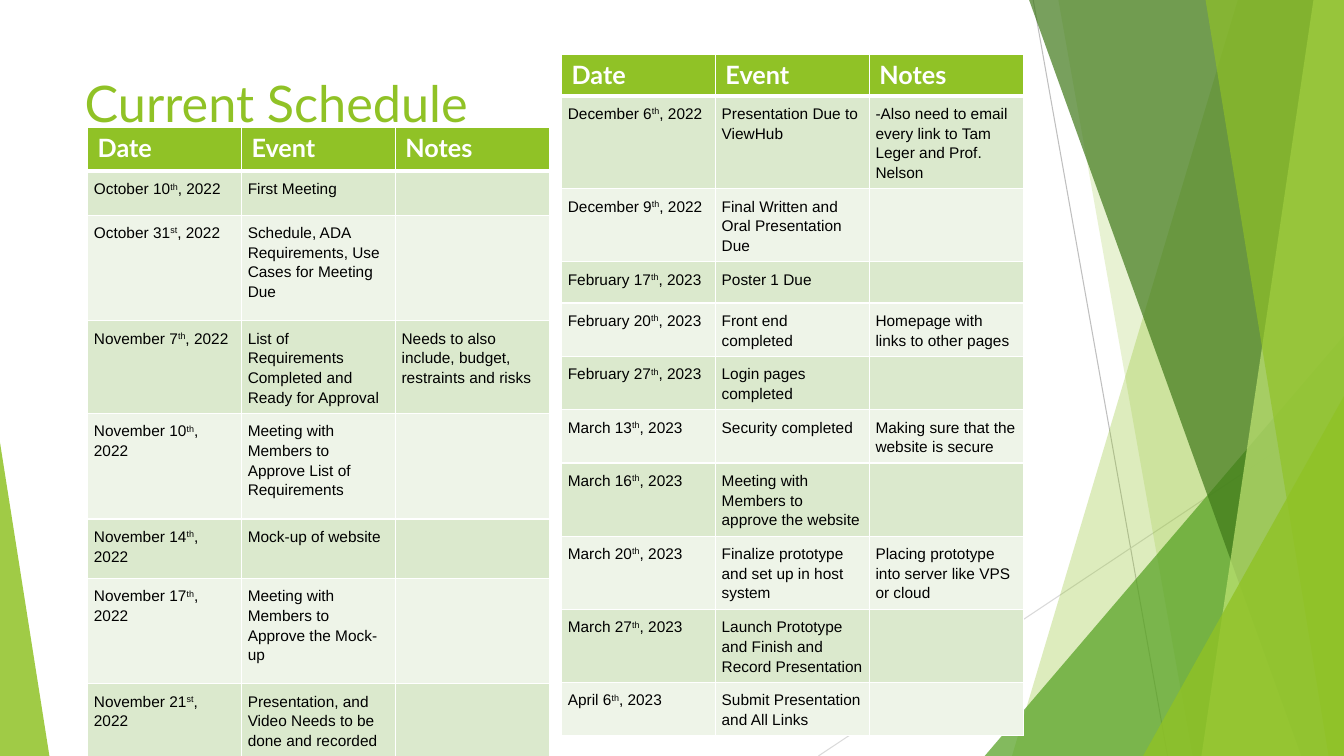
"""Build the Current Schedule slide with its two event tables."""
from dataclasses import dataclass

from lxml import etree
from pptx import Presentation
from pptx import util as u
from pptx.dml import color
from pptx.enum import shapes, text
from pptx.oxml import ns


@dataclass(frozen=True)
class Theme:
    green: str = "90C226"
    leaf: str = "54A021"
    forest: str = "3F7819"
    lime: str = "C0E474"
    band_dark: str = "DBE9CD"
    band_light: str = "EEF4E8"
    white: str = "FFFFFF"
    black: str = "000000"
    heading: str = "Lato"
    body: str = "Arial"
    title_size: float = 36
    header_size: float = 18
    body_size: float = 11


@dataclass(frozen=True)
class Ray:
    start: tuple[float, float]
    end: tuple[float, float]
    colour: str


@dataclass(frozen=True)
class Facet:
    """A slanted panel reaching the right edge, or a corner triangle."""
    top: float
    bottom: float
    colour: str
    alpha: int


@dataclass(frozen=True)
class Corner:
    left: float
    top: float
    width: float
    apex: float
    colour: str
    alpha: int


@dataclass(frozen=True)
class Event:
    date: str
    name: str
    notes: str = ""
    height: float = 29.5


@dataclass(frozen=True)
class Schedule:
    left: float
    top: float
    height: float
    header_height: float
    events: tuple[Event, ...]


THEME = Theme()
WIDTH, HEIGHT = 960, 540
COLUMN_WIDTH = 109.9
HEADERS = ("Date", "Event", "Notes")

DECORATION = (
    Ray((738, 0), (834, HEIGHT), "BFBFBF"),
    Ray((WIDTH, 290), (584.6, HEIGHT), "D9D9D9"),
    Facet(884.2, 722.9, THEME.green, 30),
    Facet(756, 851.8, THEME.green, 20),
    Corner(703.4, 239.8, 256.6, 1, THEME.leaf, 72),
    Facet(735.1, 929.5, THEME.forest, 70),
    Facet(938.2, 858.2, THEME.lime, 70),
    Facet(861.1, 949, THEME.green, 65),
    Corner(816.5, 283, 143.5, 1, THEME.green, 80),
    Corner(0, 316.1, 35.3, 0, THEME.green, 85),
)

SCHEDULES = (
    Schedule(62.6, 90.9, 449.3, 31.4, (
        Event("October 10th, 2022", "First Meeting", height=31.4),
        Event("October 31st, 2022", "Schedule, ADA Requirements, Use Cases for Meeting Due", height=75.4),
        Event("November 7th, 2022", "List of Requirements Completed and Ready for Approval",
              "Needs to also include, budget, restraints and risks", 58.8),
        Event("November 10th, 2022", "Meeting with Members to Approve List of Requirements", height=75.4),
        Event("November 14th, 2022", "Mock-up of website", height=42.4),
        Event("November 17th, 2022", "Meeting with Members to Approve the Mock-up", height=75.4),
        Event("November 21st, 2022", "Presentation, and Video Needs to be done and recorded", height=58.8),
    )),
    Schedule(401.1, 39, 501.1, 29.5, (
        Event("December 6th, 2022", "Presentation Due to ViewHub",
              "-Also need to email every link to Tam Leger and Prof. Nelson"),
        Event("December 9th, 2022", "Final Written and Oral Presentation Due"),
        Event("February 17th, 2023", "Poster 1 Due"),
        Event("February 20th, 2023", "Front end completed", "Homepage with links to other pages"),
        Event("February 27th, 2023", "Login pages completed"),
        Event("March 13th, 2023", "Security completed", "Making sure that the website is secure"),
        Event("March 16th, 2023", "Meeting with Members to approve the website"),
        Event("March 20th, 2023", "Finalize prototype and set up in host system",
              "Placing prototype into server like VPS or cloud"),
        Event("March 27th, 2023", "Launch Prototype and Finish and Record Presentation"),
        Event("April 6th, 2023", "Submit Presentation and All Links"),
    )),
)


def rgb(value: str) -> color.RGBColor:
    return color.RGBColor.from_string(value)


def style_span(span, face: str, size: float, colour: str, bold: bool = False) -> None:
    span.font.name = face
    span.font.size = u.Pt(size)
    span.font.bold = bold
    span.font.color.rgb = rgb(colour)


def draw_ray(page, ray: Ray) -> None:
    line = page.shapes.add_connector(shapes.MSO_CONNECTOR.STRAIGHT, *map(u.Pt, ray.start + ray.end))
    line.line.color.rgb = rgb(ray.colour)
    line.line.width = u.Pt(0.75)
    etree.SubElement(line.element.spPr, ns.qn("a:effectLst"))


def paint(shape, colour: str, alpha: int) -> None:
    shape.shadow.inherit = False
    shape.line.fill.background()
    shape.fill.solid()
    shape.fill.fore_color.rgb = rgb(colour)
    tint = shape.element.spPr.find(".//" + ns.qn("a:srgbClr"))
    etree.SubElement(tint, ns.qn("a:alpha"), val=str(alpha * 1000))


def draw_facet(page, facet: Facet) -> None:
    outline = page.shapes.build_freeform(u.Pt(facet.top), 0)
    corners = ((WIDTH, 0), (WIDTH, HEIGHT), (facet.bottom, HEIGHT))
    outline.add_line_segments([(u.Pt(x), u.Pt(y)) for x, y in corners])
    paint(outline.convert_to_shape(), facet.colour, facet.alpha)


def draw_corner(page, corner: Corner) -> None:
    box = (corner.left, corner.top, corner.width, HEIGHT - corner.top)
    triangle = page.shapes.add_shape(shapes.MSO_SHAPE.ISOSCELES_TRIANGLE, *map(u.Pt, box))
    triangle.adjustments[0] = corner.apex
    paint(triangle, corner.colour, corner.alpha)


def set_borders(cell, top: float, bottom: float) -> None:
    properties = cell._tc.get_or_add_tcPr()
    for side, width in (("L", 1), ("R", 1), ("T", top), ("B", bottom)):
        edge = etree.SubElement(properties, ns.qn(f"a:ln{side}"), w=str(u.Pt(width)))
        fill = etree.SubElement(edge, ns.qn("a:solidFill"))
        etree.SubElement(fill, ns.qn("a:srgbClr"), val=THEME.white)


def fill_cell(cell, pieces: tuple[str, ...], row: int) -> None:
    set_borders(cell, 3 if row == 1 else 1, 3 if row == 0 else 1)
    cell.fill.solid()
    band = THEME.band_dark if row % 2 else THEME.band_light
    cell.fill.fore_color.rgb = rgb(band if row else THEME.green)
    para = cell.text_frame.paragraphs[0]
    if row and any(pieces):
        para.line_spacing = 1.15
        cell.margin_left = cell.margin_right = u.Pt(4.5)
        cell.margin_top = cell.margin_bottom = u.Pt(5)
    for position, piece in enumerate(filter(None, pieces)):
        span = para.add_run()
        span.text = piece
        if row:
            style_span(span, THEME.body, THEME.body_size, THEME.black)
        else:
            style_span(span, THEME.heading, THEME.header_size, THEME.white, bold=True)
        if position == 1:
            span.font._element.set("baseline", "30000")


def split_date(date: str) -> tuple[str, str, str]:
    day, comma, year = date.partition(",")
    return day[:-2], day[-2:], comma + year


def draw_schedule(page, schedule: Schedule) -> None:
    count = len(schedule.events) + 1
    box = (schedule.left, schedule.top, COLUMN_WIDTH * len(HEADERS), schedule.height)
    frame = page.shapes.add_table(count, len(HEADERS), *map(u.Pt, box))
    table = frame.table
    table.horz_banding = False
    heights = [schedule.header_height] + [event.height for event in schedule.events]
    rows = [[(label,) for label in HEADERS]]
    rows += [[split_date(event.date), (event.name,), (event.notes,)] for event in schedule.events]
    for row, (height, contents) in enumerate(zip(heights, rows)):
        table.rows[row].height = u.Pt(height)
        for column, pieces in enumerate(contents):
            fill_cell(table.cell(row, column), pieces, row)
    frame.height = u.Pt(schedule.height)


def set_title(page, wording: str) -> None:
    title = page.shapes.title
    title.left, title.top, title.width, title.height = map(u.Pt, (53.3, 48, 676.8, 104))
    frame = title.text_frame
    frame.text = wording
    frame.vertical_anchor = text.MSO_ANCHOR.TOP
    para = frame.paragraphs[0]
    para.alignment = text.PP_ALIGN.LEFT
    style_span(para.runs[0], THEME.heading, THEME.title_size, THEME.green)


def main() -> None:
    deck = Presentation()
    deck.slide_width, deck.slide_height = u.Pt(WIDTH), u.Pt(HEIGHT)
    page = deck.slides.add_slide(deck.slide_layouts[5])
    set_title(page, "Current Schedule")
    painters = {Ray: draw_ray, Facet: draw_facet, Corner: draw_corner}
    for item in DECORATION:
        painters[type(item)](page, item)
    for schedule in SCHEDULES:
        draw_schedule(page, schedule)
    deck.save("out.pptx")


if __name__ == "__main__":
    main()
